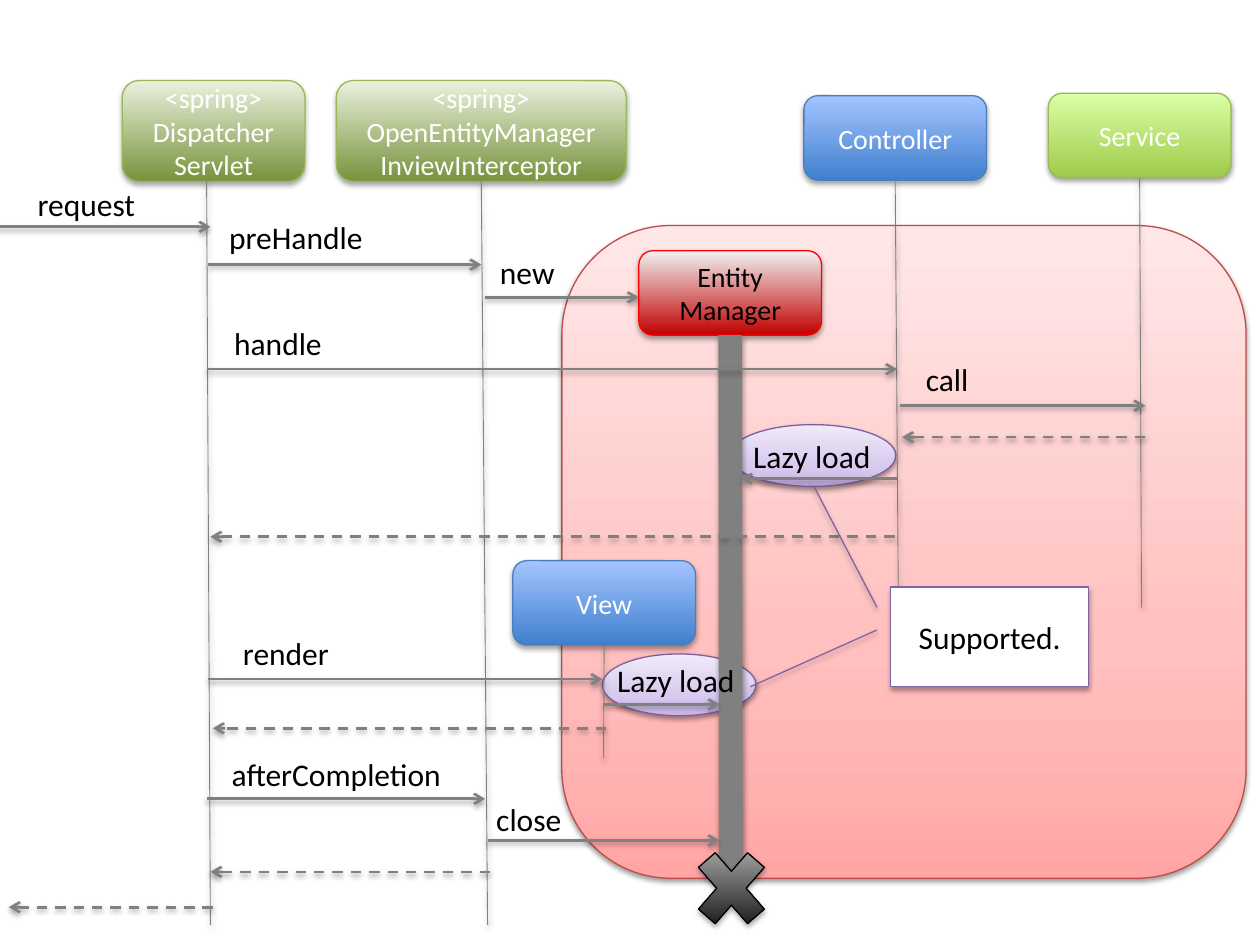
from copy import deepcopy
from lxml.etree import SubElement
from pptx import Presentation
from pptx.dml.color import RGBColor
from pptx.enum.dml import MSO_LINE
from pptx.enum.shapes import MSO_CONNECTOR, MSO_SHAPE
from pptx.enum.text import MSO_ANCHOR, PP_ALIGN
from pptx.oxml.ns import qn
from pptx.util import Inches, Pt

COLORS = {
    "black": "000000", "white": "FFFFFF", "grey": "808080", "silver": "BDBDBD",
    "red": "FF0000", "brick": "BF4C48", "purple": "7D60A0", "violet": "8064A2",
    "olive": "98B955", "blue": "4B7EBC",
}
GRADIENTS = {
    "pink": [(0, "FFA6A5"), (0.35, "FFC0BF"), (1, "FFE7E7")],
    "lilac": [(0, "C9B5E8"), (0.35, "D8CBEE"), (1, "F0EAF9")],
    "lime": [(0, "A0CA4A"), (1, "DAFFA5")],
    "moss": [(0, "77933C"), (1, "EBF1DE")],
    "crimson": [(0, "C00000"), (1, "F2F2F2")],
    "sky": [(0, "3F80CE"), (1, "A4C4FF")],
    "coal": [(0, COLORS["black"]), (1, COLORS["silver"])],
}


def rgb(name):
    return RGBColor.from_string(COLORS[name])


def write(tf, text, size=18, color="black", font="Calibri", align=PP_ALIGN.LEFT):
    for i, line in enumerate(text.split("\n")):
        p = tf.paragraphs[0] if i == 0 else tf.add_paragraph()
        p.alignment = align
        r = p.add_run()
        r.text = line
        r.font.size = Pt(size)
        r.font.name = font
        r.font.color.rgb = rgb(color)


def fill_gradient(fill, stops):
    fill.gradient()
    fill.gradient_angle = 90
    if len(stops) == 3:
        first = fill.gradient_stops[0]._gs
        first.addnext(deepcopy(first))
    for stop, (position, color) in zip(fill.gradient_stops, stops):
        stop.position = position
        stop.color.rgb = RGBColor.from_string(color)


def add_shadow(effects, opacity, distance):
    shadow = SubElement(effects, qn("a:outerShdw"), blurRad=str(Pt(3.1)),
                        dist=str(Pt(distance)), dir="5400000", rotWithShape="0")
    color = SubElement(shadow, qn("a:srgbClr"), val=COLORS["black"])
    SubElement(color, qn("a:alpha"), val=str(opacity * 1000))


class SequenceDiagram:
    def __init__(self, slide):
        self.slide = slide

    def shape(self, kind, x, y, w, h, fill, line, opacity=35, distance=1.8):
        s = self.slide.shapes.add_shape(kind, Inches(x), Inches(y), Inches(w), Inches(h))
        if fill in GRADIENTS:
            fill_gradient(s.fill, GRADIENTS[fill])
        else:
            s.fill.solid()
            s.fill.fore_color.rgb = rgb(fill)
        s.line.color.rgb = rgb(line)
        s.line.width = Pt(0.75)
        s.shadow.inherit = False
        add_shadow(s._element.spPr.find(qn("a:effectLst")), opacity, distance)
        return s

    def box(self, text, x, y, w, h, fill, line, color="white", size=16,
            kind=MSO_SHAPE.ROUNDED_RECTANGLE):
        s = self.shape(kind, x, y, w, h, fill, line)
        s.text_frame.word_wrap = True
        s.text_frame.vertical_anchor = MSO_ANCHOR.MIDDLE
        write(s.text_frame, text, size=size, color=color, align=PP_ALIGN.CENTER)
        return s

    def line(self, x1, y1, x2, y2, color="grey", width=0.5, dashed=False, arrow=False,
             start=None):
        c = self.slide.shapes.add_connector(
            MSO_CONNECTOR.STRAIGHT, Inches(x1), Inches(y1), Inches(x2), Inches(y2))
        if start is not None:
            c.begin_connect(start, 2)
        c.line.color.rgb = rgb(color)
        c.line.width = Pt(width)
        if dashed:
            c.line.dash_style = MSO_LINE.DASH
        sp_pr = c._element.spPr
        if arrow:
            SubElement(sp_pr.find(qn("a:ln")), qn("a:tailEnd"), type="arrow")
        add_shadow(SubElement(sp_pr, qn("a:effectLst")), 38, 1.6)

    def message(self, x1, x2, y, dashed=False):
        self.line(x1, y, x2, y, width=1.5, dashed=dashed, arrow=True)

    def label(self, text, x, y, w):
        s = self.slide.shapes.add_textbox(Inches(x), Inches(y), Inches(w), Inches(0.4))
        s.text_frame.word_wrap = True
        write(s.text_frame, text)


def main():
    prs = Presentation()
    prs.slide_width, prs.slide_height = Inches(10), Inches(7.5)
    d = SequenceDiagram(prs.slides.add_slide(prs.slide_layouts[6]))

    d.shape(MSO_SHAPE.ROUNDED_RECTANGLE, 4.46, 1.79, 5.43, 5.18, "pink", "brick", 38, 1.6)
    for x, y, w in [(4.78, 5.19, 1.22), (5.79, 3.37, 1.32)]:
        d.shape(MSO_SHAPE.OVAL, x, y, w, 0.49, "lilac", "purple", 38, 1.6)

    service = d.box("Service", 8.32, 0.74, 1.45, 0.67, "lime", "olive")
    entity = d.box("Entity\nManager", 5.07, 1.99, 1.45, 0.67, "crimson", "red", color="black")
    controller = d.box("Controller", 6.38, 0.76, 1.45, 0.67, "sky", "blue")
    view = d.box("View", 4.07, 4.45, 1.45, 0.67, "sky", "blue")
    d.box("<spring>\nDispatcher\nServlet", 0.97, 0.64, 1.45, 0.8, "moss", "olive")
    interceptor = d.box("<spring>\nOpenEntityManager\nInviewInterceptor",
                        2.67, 0.64, 2.3, 0.8, "moss", "olive")

    for x1, y1, x2, y2, width, start in [
        (7.1, 1.43, 7.13, 4.78, 0.5, controller),
        (9.04, 1.41, 9.06, 4.82, 0.5, service),
        (5.8, 2.66, 5.8, 6.97, 13.5, entity),
        (1.64, 1.43, 1.67, 7.34, 0.5, None),
        (4.79, 5.12, 4.79, 6.02, 0.5, view),
        (3.82, 1.44, 3.87, 7.34, 0.5, interceptor),
    ]:
        d.line(x1, y1, x2, y2, width=width, start=start)

    for x1, x2, y in [
        (-0.02, 1.67, 1.8), (1.65, 3.82, 2.1), (3.85, 5.07, 2.36), (1.64, 7.12, 2.93),
        (7.14, 9.09, 3.22), (7.12, 5.88, 3.8), (1.65, 4.78, 5.39), (4.79, 5.71, 5.59),
        (1.64, 3.85, 6.34), (3.87, 5.71, 6.67),
    ]:
        d.message(x1, x2, y)
    for x1, x2, y in [
        (9.09, 7.16, 3.47), (7.1, 1.67, 4.26), (4.81, 1.69, 5.78),
        (3.89, 1.67, 6.92), (1.69, 0.07, 7.2),
    ]:
        d.message(x1, x2, y, dashed=True)

    d.shape(MSO_SHAPE.MATH_MULTIPLY, 5.43, 6.62, 0.75, 0.86, "coal", "black")

    for text, x, y, w in [
        ("request", 0.2, 1.42, 0.98), ("preHandle", 1.72, 1.68, 1.68),
        ("new", 3.87, 1.96, 1.83), ("handle", 1.76, 2.52, 0.98),
        ("call", 7.25, 2.81, 1.83), ("Lazy load", 5.88, 3.42, 1.56),
        ("render", 1.83, 4.98, 0.98), ("Lazy load", 4.8, 5.2, 1.28),
        ("afterCompletion", 1.74, 5.94, 2.01), ("close", 3.84, 6.3, 1.56),
    ]:
        d.label(text, x, y, w)

    callout = d.box("Supported.", 7.07, 4.66, 1.57, 0.79, "white", "violet",
                    color="black", size=18, kind=MSO_SHAPE.LINE_CALLOUT_1)
    for i, value in enumerate([0.43, -0.07, 1, -0.71]):
        callout.adjustments[i] = value
    d.line(6.46, 3.86, 6.96, 4.82, color="violet", width=0.75)

    prs.save("out.pptx")


if __name__ == "__main__":
    main()
